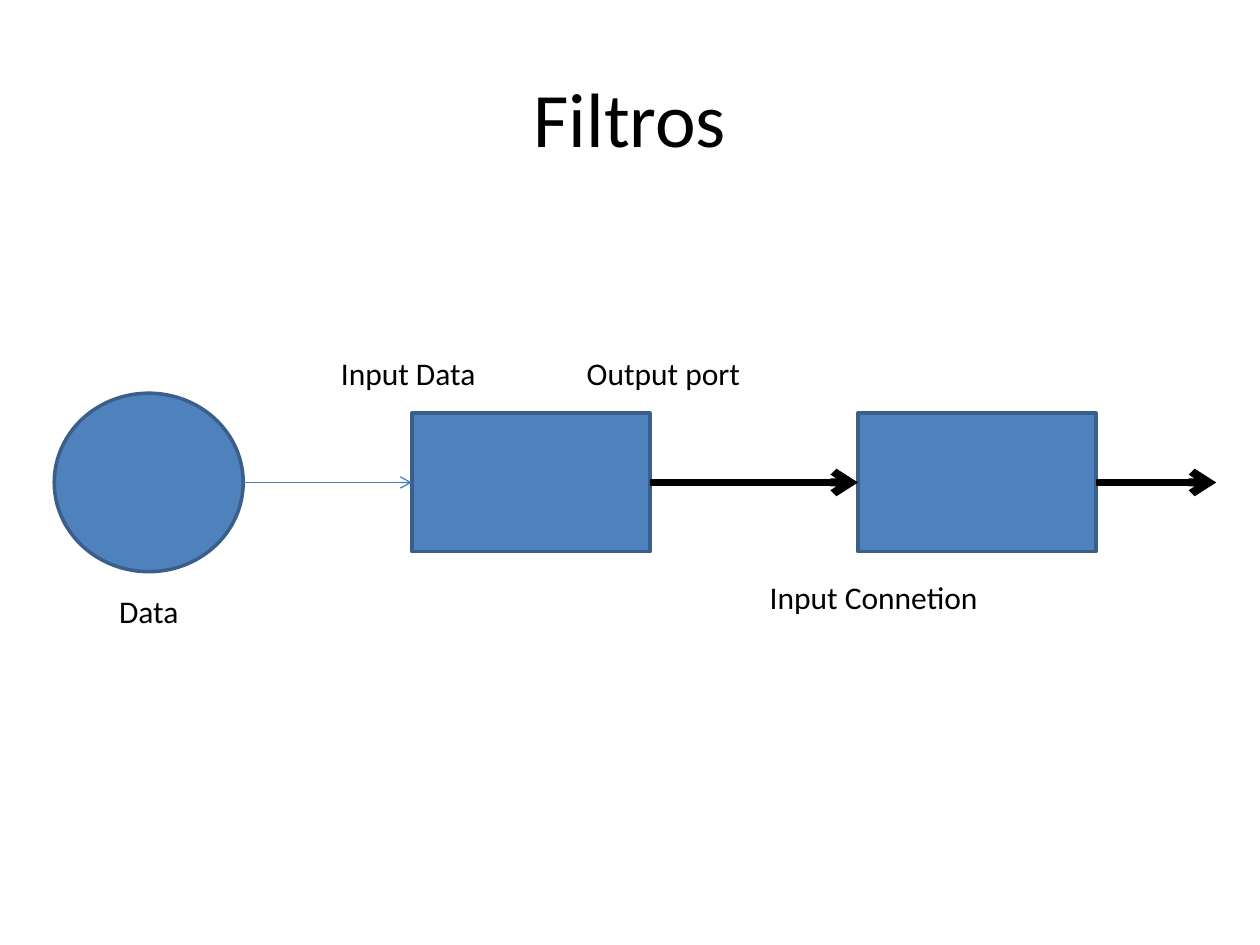
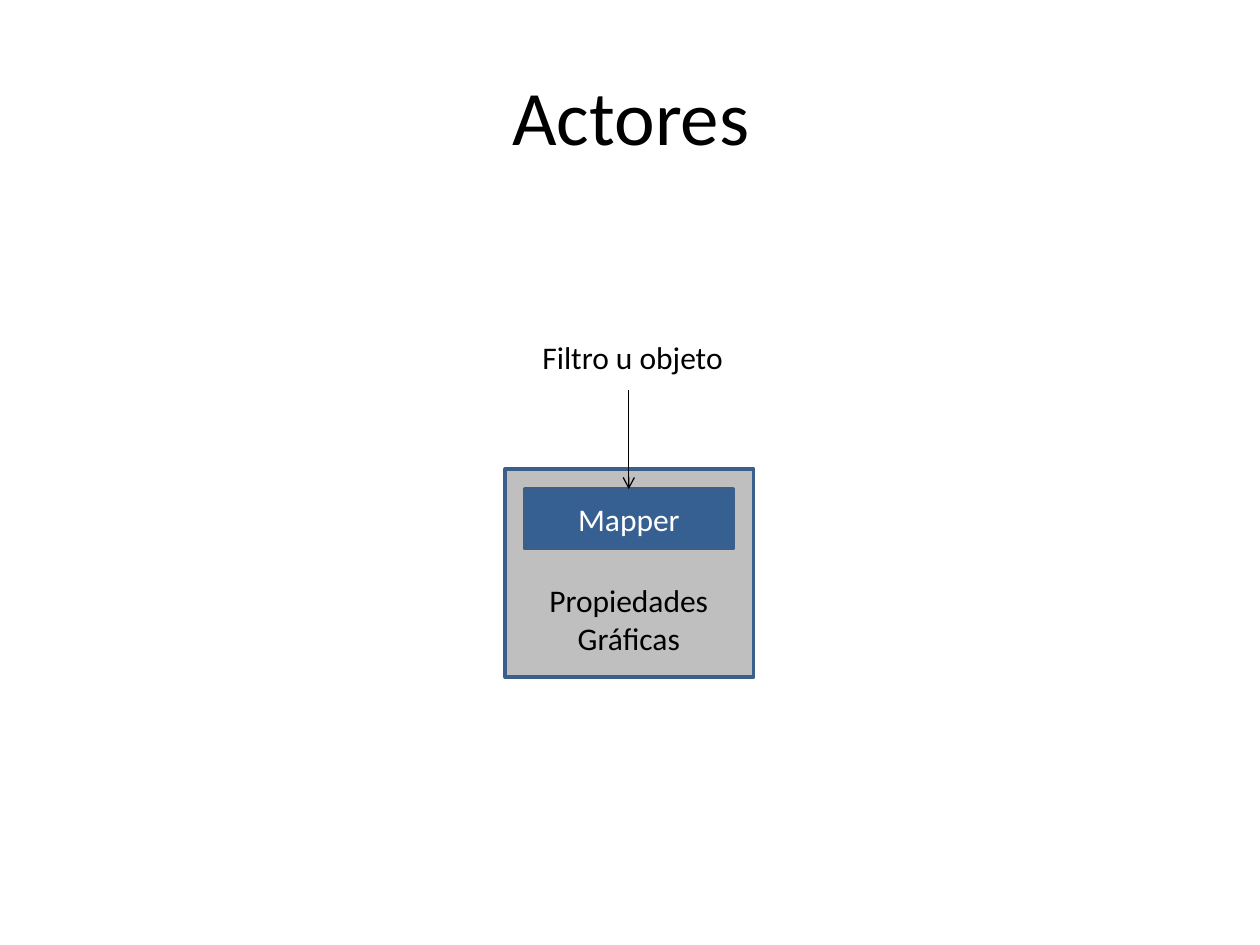
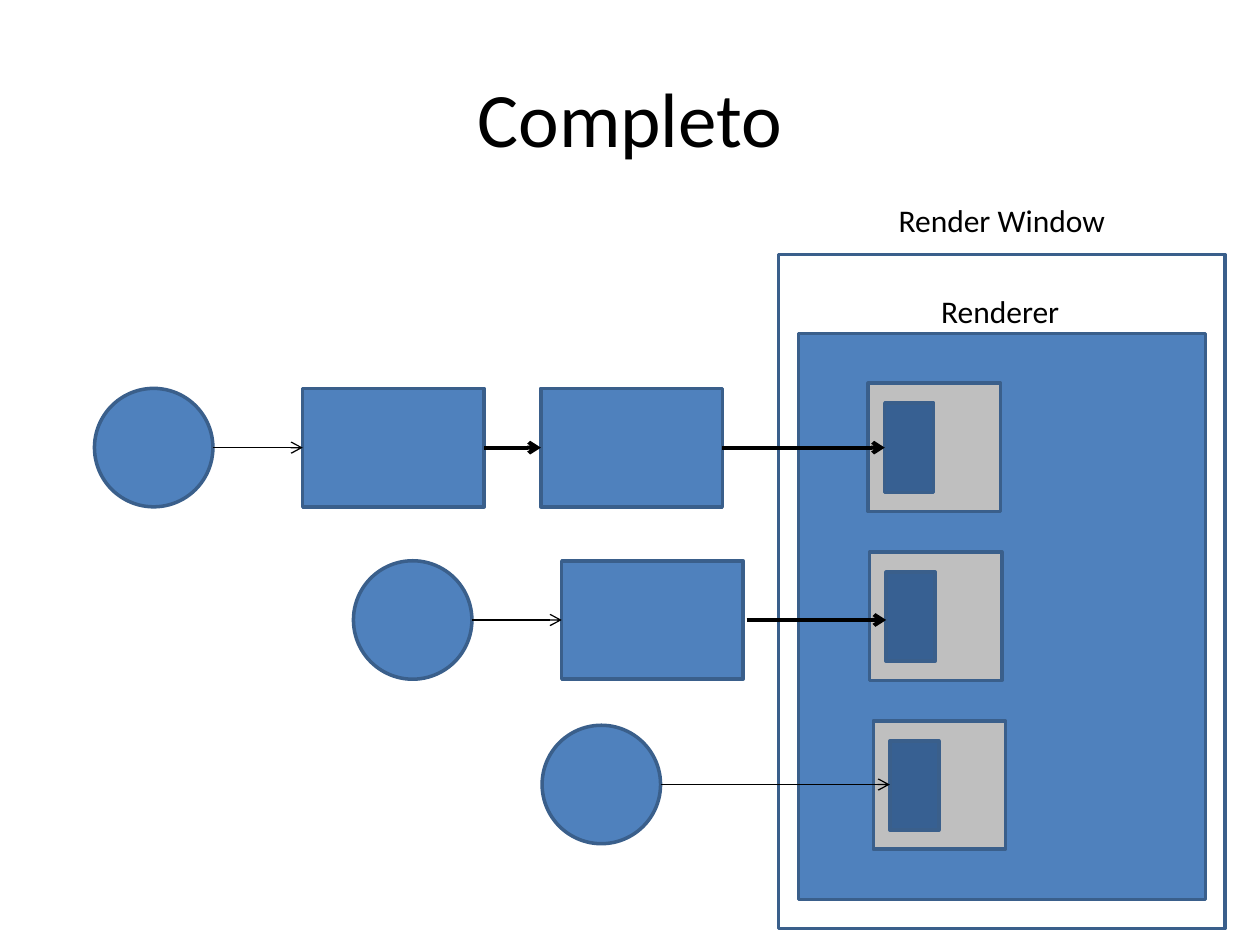
from collections import namedtuple

from lxml import etree
from pptx import Presentation
from pptx import util as u
from pptx.dml.color import RGBColor
from pptx.enum import shapes, text
from pptx.oxml import ns

BLACK = RGBColor(0x00, 0x00, 0x00)
WHITE = RGBColor(0xFF, 0xFF, 0xFF)
BLUE = RGBColor(0x4F, 0x81, 0xBD)
OUTLINE = RGBColor(0x3A, 0x5F, 0x8B)
NAVY = RGBColor(0x37, 0x60, 0x92)
ARROW_BLUE = RGBColor(0x4A, 0x7E, 0xBB)
GREY = RGBColor(0xBF, 0xBF, 0xBF)

FONT = "Calibri"
LABEL_HEIGHT = 29
THIN, MEDIUM, THICK = 0.75, 2.25, 4.5
RECT = shapes.MSO_SHAPE.RECTANGLE
OVAL = shapes.MSO_SHAPE.OVAL


class Box(namedtuple("Box", "left top width height")):
    """A region of the page, in points."""

    @property
    def right(self):
        return self.left + self.width

    @property
    def mid_x(self):
        return self.left + self.width / 2

    @property
    def mid_y(self):
        return self.top + self.height / 2

    def inner(self, dx, dy, width, height):
        return Box(self.left + dx, self.top + dy, width, height)

    def lengths(self):
        return [u.Pt(value) for value in self]


TITLE = Box(36, 21.6, 648, 90)


def write(frame, words, size=18, color=BLACK, wrap=True,
          anchor=text.MSO_ANCHOR.TOP):
    """Fill a text frame with centred text, one paragraph per line."""
    frame.word_wrap = wrap
    frame.vertical_anchor = anchor
    for index, line in enumerate(words.split("\n")):
        para = frame.add_paragraph() if index else frame.paragraphs[0]
        para.alignment = text.PP_ALIGN.CENTER
        span = para.add_run()
        span.text = line
        span.font.name = FONT
        span.font.size = u.Pt(size)
        span.font.color.rgb = color


def add_title(page, words, box):
    frame = page.shapes.add_textbox(*box.lengths()).text_frame
    write(frame, words, size=44, anchor=text.MSO_ANCHOR.MIDDLE)


def add_label(page, words, mid_x, top, width, height=LABEL_HEIGHT):
    box = Box(mid_x - width / 2, top, width, height)
    write(page.shapes.add_textbox(*box.lengths()).text_frame, words, wrap=False)


def add_block(page, box, kind=RECT, fill=BLUE):
    """Draw an outlined shape; fill None leaves it hollow."""
    block = page.shapes.add_shape(kind, *box.lengths())
    block.shadow.inherit = False
    if fill is None:
        block.fill.background()
    else:
        block.fill.solid()
        block.fill.fore_color.rgb = fill
    block.line.color.rgb = OUTLINE
    block.line.width = u.Pt(2)
    return block


def add_arrow(page, start, end, weight=THIN, color=BLACK):
    arrow = page.shapes.add_connector(
        shapes.MSO_CONNECTOR.STRAIGHT, *[u.Pt(value) for value in (*start, *end)])
    arrow.line.color.rgb = color
    arrow.line.width = u.Pt(weight)
    outline = arrow.line._get_or_add_ln()
    etree.SubElement(outline, ns.qn("a:tailEnd"), type="arrow")
    etree.SubElement(outline.getparent(), ns.qn("a:effectLst"))


def add_actor(page, box, mapper, caption=None):
    """Draw an actor with its mapper, captioned or plain."""
    add_block(page, box, fill=GREY)
    block = add_block(page, mapper, fill=NAVY)
    if caption:
        write(block.text_frame, caption, color=WHITE,
              anchor=text.MSO_ANCHOR.MIDDLE)


def draw_filter_chain(page, box):
    """Data feeding two filters in turn, with their ports labelled."""
    data = box.inner(0, 26, 108, 102)
    first, second = [box.inner(dx, 37.4, 136, 79.2) for dx in (204.4, 459.3)]
    axis = data.mid_y

    add_block(page, data, OVAL)
    for stage in (first, second):
        add_block(page, stage)
    add_arrow(page, (data.right, axis), (first.left, axis), color=ARROW_BLUE)
    add_arrow(page, (first.right, axis), (second.left, axis), THICK)
    add_arrow(page, (second.right, axis), (box.right, axis), THICK)

    for words, dx, dy, width in (("Data", 54, 136, 51),
                                 ("Input Data", 202.3, 0, 94),
                                 ("Input Connetion", 468.3, 128.2, 136),
                                 ("Output port", 348.1, 0, 105)):
        add_label(page, words, box.left + dx, box.top + dy, width)


def draw_actor_detail(page, box):
    """One actor with its input above and its properties inside."""
    mapper = box.inner(11.2, 11.5, 119, 34)
    axis = box.mid_x - 0.4
    add_actor(page, box, mapper, "Mapper")
    add_arrow(page, (axis, box.top - 45), (axis, mapper.top))
    add_label(page, "Filtro u objeto", axis + 2.2, box.top - 78.4, 120)
    add_label(page, "Propiedades\nGráficas", axis, box.top + 60.5, 109, 50.4)


def draw_render_window(page, box):
    renderer = box.inner(11.3, 45.2, 232.6, 323.3)
    add_block(page, box, fill=None)
    add_label(page, "Render Window", box.mid_x, box.top - 34.3, 136)
    add_block(page, renderer)
    add_label(page, "Renderer", renderer.mid_x - 1, renderer.top - 27.2, 85)


def draw_lane(page, box, filters, drop=0, lead=0):
    """Data at the left, then filters, then an actor at the right edge.

    drop lowers the chain from the middle; lead is the gap before the last arrow.
    """
    size, filter_width = 67.7, 103.7
    axis = box.mid_y + drop
    actor = Box(box.right - 75.6, box.top, 75.6, box.height)
    mapper = actor.inner(9.5, 11.5, 28, 51)
    add_actor(page, actor, mapper)

    stage = Box(box.left, axis - size / 2, size, size)
    add_block(page, stage, OVAL)
    weight, gap = THIN, 51.3
    for _ in range(filters):
        following = Box(stage.right + gap, stage.top, filter_width, size)
        add_block(page, following)
        add_arrow(page, (stage.right, axis), (following.left, axis), weight)
        stage, weight, gap = following, MEDIUM, 32.4
    add_arrow(page, (stage.right + lead, axis), (mapper.left, axis), weight)


def draw_full_pipeline(page, box):
    draw_render_window(page, box.inner(391, 0, 255, 385.2))
    lanes = ((0, 517.7, 2, 0.2, 0),
             (148, 518.5, 1, 2.2, 2),
             (255.8, 520.6, 0, -0.3, 0))
    for row, (left, right, filters, drop, lead) in enumerate(lanes):
        lane = box.inner(left, 73.5 + row * 96.5, right - left, 73.4)
        draw_lane(page, lane, filters, drop, lead)


def main():
    deck = Presentation()
    deck.slide_width, deck.slide_height = u.Pt(720), u.Pt(540)
    shifted_title = TITLE.inner(0.6, -0.9, TITLE.width, TITLE.height)
    content = (
        ("Filtros", TITLE, draw_filter_chain, Box(31, 198.7, 664, 165)),
        ("Actores", shifted_title, draw_actor_detail, Box(288.7, 268, 142, 119)),
        ("Completo", TITLE, draw_full_pipeline, Box(54, 145.4, 646, 385.2)))
    for title, title_box, draw, box in content:
        page = deck.slides.add_slide(deck.slide_layouts[6])
        add_title(page, title, title_box)
        draw(page, box)
    deck.save("out.pptx")


if __name__ == "__main__":
    main()
